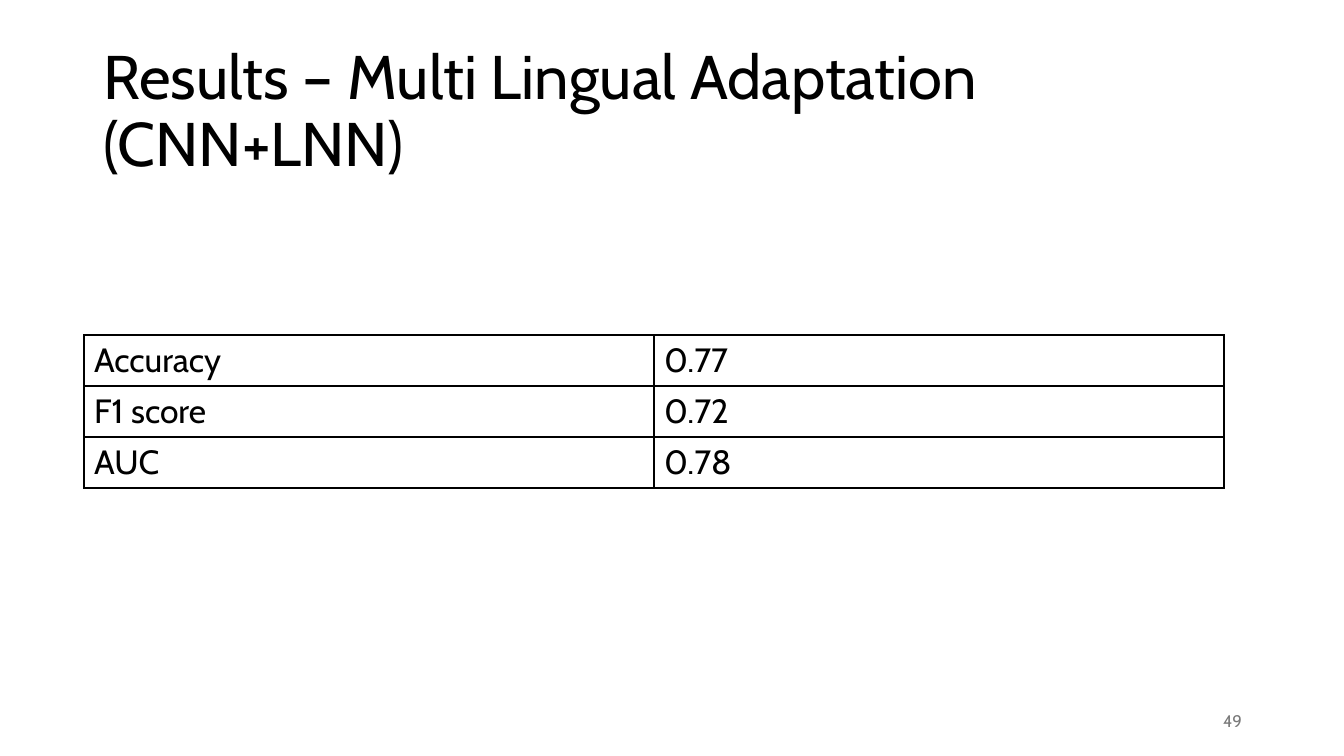
from lxml.etree import SubElement
from pptx import Presentation
from pptx.dml.color import RGBColor
from pptx.enum.text import MSO_ANCHOR as Anchor, PP_ALIGN as Align
from pptx.oxml.ns import qn
from pptx.util import Pt

PX = 914400 / 100.8


def px(*lengths):
    return [round(length * PX) for length in lengths]


def write(paragraph, text, size, color="000000"):
    run = paragraph.add_run()
    run.text = text
    run.font.name = "Cabin"
    run.font.size = Pt(size)
    run.font.color.rgb = RGBColor.from_string(color)


prs = Presentation()
prs.slide_width, prs.slide_height = px(1344, 756)
slide = prs.slides.add_slide(prs.slide_layouts[5])

title = slide.shapes.title
title.left, title.top, title.width, title.height = px(93, 40, 1159, 146)
heading = title.text_frame
heading.word_wrap = True
heading.vertical_anchor = Anchor.MIDDLE
heading.paragraphs[0].alignment = Align.LEFT
heading.paragraphs[0].line_spacing = 0.9
write(heading.paragraphs[0], "Results – Multi Lingual Adaptation (CNN+LNN)", 44)

page_number = slide.shapes.add_textbox(*px(950, 701, 302, 40)).text_frame
page_number.word_wrap = True
page_number.vertical_anchor = Anchor.MIDDLE
page_number.paragraphs[0].alignment = Align.RIGHT
write(page_number.paragraphs[0], "49", 12, "797979")

scores = [("Accuracy", "0.77"), ("F1 score", "0.72"), ("AUC", "0.78")]
results = slide.shapes.add_table(len(scores), 2, *px(84, 335, 1140, 153)).table
results.first_row = False
results.horz_banding = False

for row, score in enumerate(scores):
    for column, text in enumerate(score):
        cell = results.cell(row, column)
        write(cell.text_frame.paragraphs[0], text, 24)
        properties = cell._tc.get_or_add_tcPr()
        for side in ("a:lnL", "a:lnR", "a:lnT", "a:lnB"):
            border = SubElement(properties, qn(side), w=str(Pt(1)))
            border_fill = SubElement(border, qn("a:solidFill"))
            SubElement(border_fill, qn("a:srgbClr"), val="000000")
        cell.fill.background()

prs.save("out.pptx")
